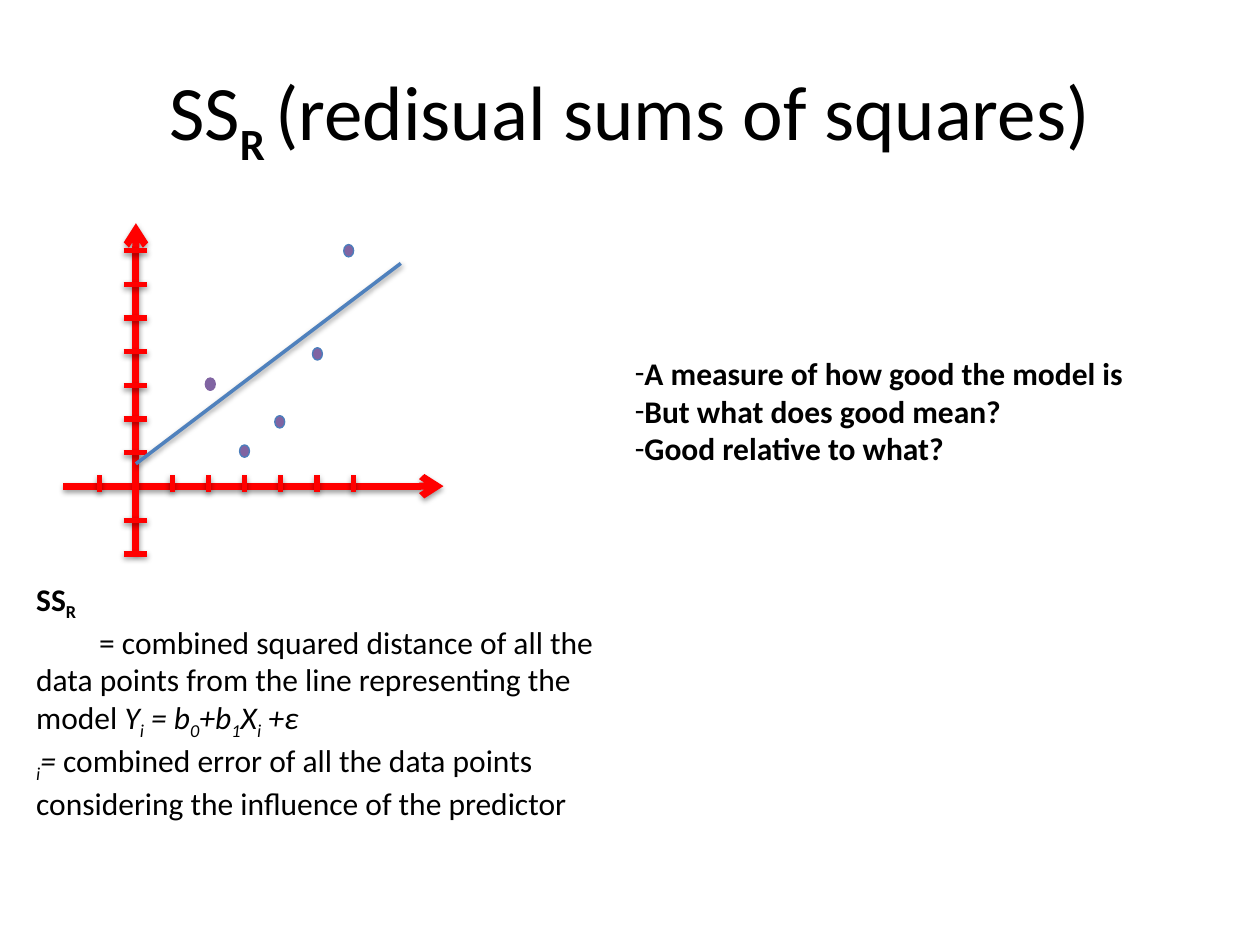
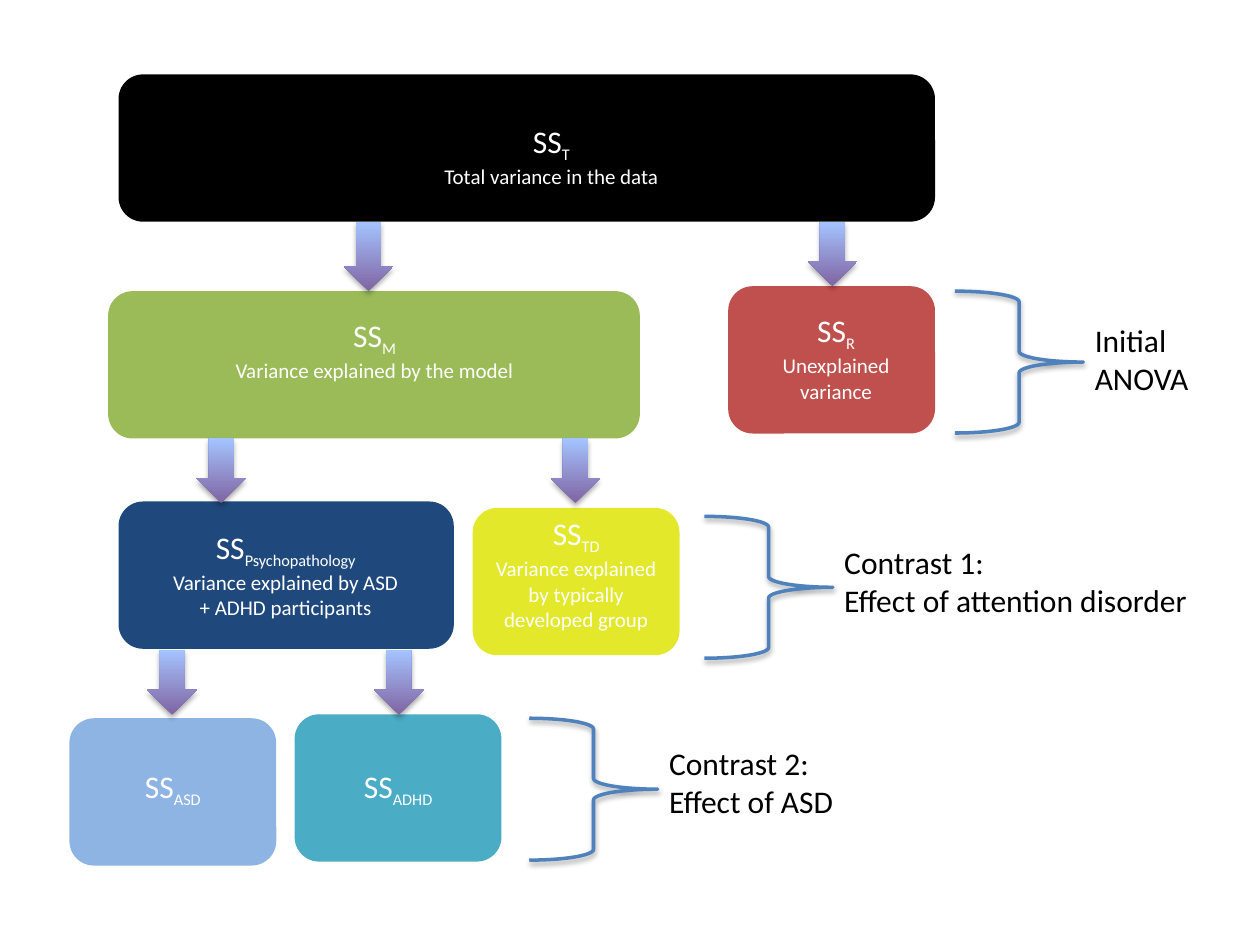
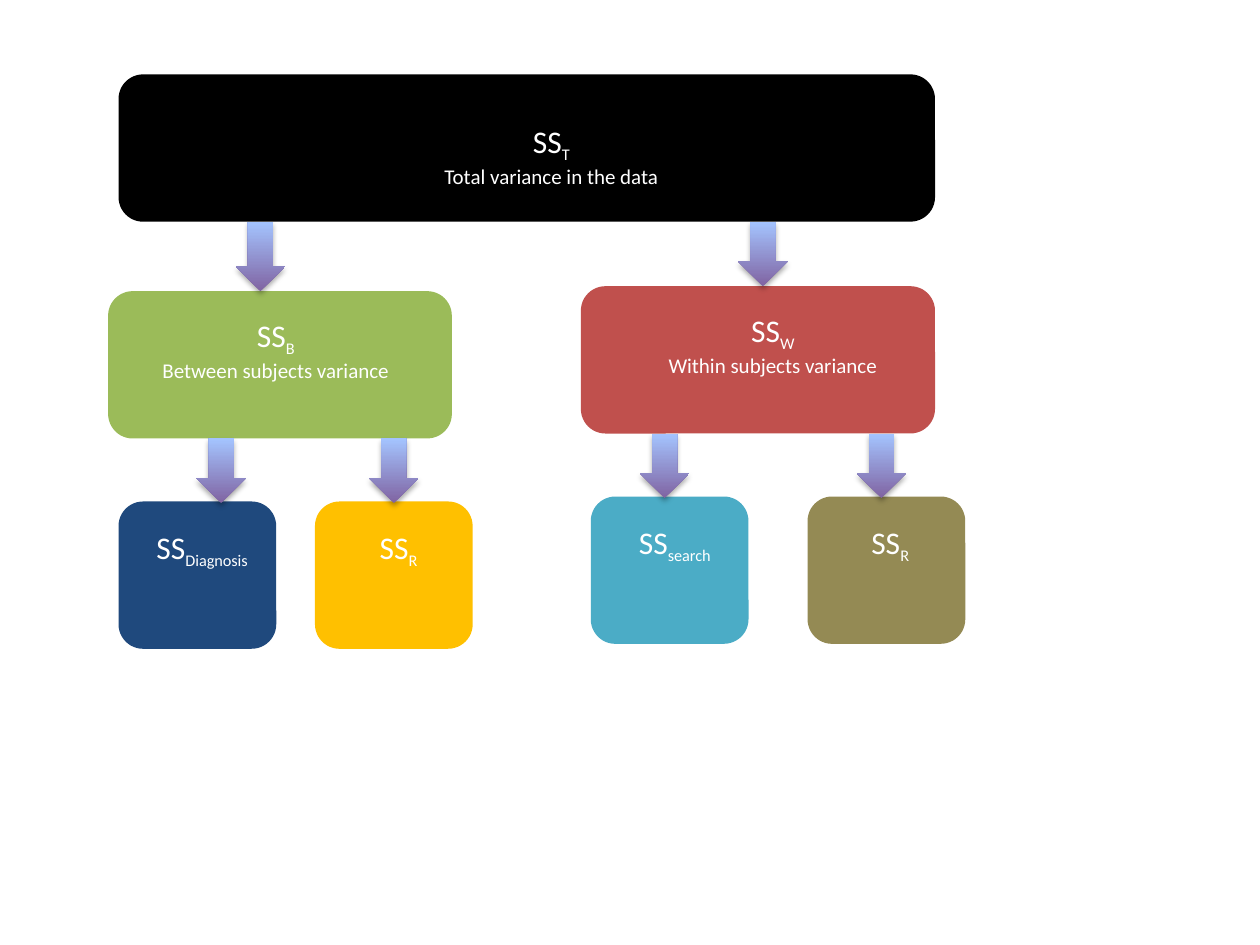
import pptx
import pptx.dml.color
import pptx.enum.shapes
import pptx.enum.text
import pptx.oxml.ns
import pptx.util
from lxml import etree
from pptx.util import Cm, Pt

RGBColor = pptx.dml.color.RGBColor
SHAPE = pptx.enum.shapes.MSO_SHAPE
STRAIGHT = pptx.enum.shapes.MSO_CONNECTOR.STRAIGHT
CENTER = pptx.enum.text.PP_ALIGN.CENTER
qn = pptx.oxml.ns.qn

FONT = "Calibri"
BLACK = RGBColor(0x00, 0x00, 0x00)
WHITE = RGBColor(0xFF, 0xFF, 0xFF)
AXIS_RED = RGBColor(0xFF, 0x00, 0x00)
LINE_BLUE = RGBColor(0x4F, 0x81, 0xBD)
DOT_BLUE = RGBColor(0x4B, 0x7E, 0xBC)
PURPLE = RGBColor(0x80, 0x64, 0xA2)
ARROW_LIGHT = RGBColor(0xA4, 0xC4, 0xFF)
GREEN = RGBColor(0x9B, 0xBB, 0x59)
BRICK = RGBColor(0xC0, 0x50, 0x4D)
NAVY = RGBColor(0x1F, 0x49, 0x7D)
YELLOW = RGBColor(0xE3, 0xE8, 0x2A)
PALE_BLUE = RGBColor(0x8E, 0xB4, 0xE3)
TEAL = RGBColor(0x4B, 0xAC, 0xC6)
AMBER = RGBColor(0xFF, 0xC0, 0x00)
OLIVE = RGBColor(0x94, 0x8A, 0x54)


def add_runs(paragraph, text, size=18, color=BLACK, bold=False, italic=False, subscript_size=None):
    """Add text in which every second piece between bars is a subscript."""
    for index, piece in enumerate(text.split("|")):
        if not piece:
            continue
        run = paragraph.add_run()
        run.text = piece
        run.font.name = FONT
        run.font.size = Pt(size)
        run.font.color.rgb = color
        run.font.bold = bold
        run.font.italic = italic
        if index % 2:
            run.font.size = Pt(subscript_size or size)
            run._r.get_or_add_rPr().set("baseline", "-25000")


def add_text_frame(slide, left, top, width, height):
    text_box = slide.shapes.add_textbox(Cm(left), Cm(top), Cm(width), Cm(height))
    text_box.text_frame.word_wrap = True
    return text_box.text_frame


presentation = pptx.Presentation()
presentation.slide_width = Cm(25.4)
presentation.slide_height = Cm(19.05)
title_only_layout = presentation.slide_layouts[5]
blank_layout = presentation.slide_layouts[6]

# Residual sums of squares
slide = presentation.slides.add_slide(title_only_layout)
title = slide.shapes.title
title.left, title.top, title.width, title.height = Cm(1.27), Cm(0.76), Cm(22.86), Cm(3.18)
paragraph = title.text_frame.paragraphs[0]
paragraph.alignment = CENTER
add_runs(paragraph, "SS", 44)
add_runs(paragraph, "|R ", 44, bold=True)
add_runs(paragraph, "(redisual sums of squares)", 44)

# Each line: start x, start y, end x, end y, colour, weight, arrowhead
plot_lines = [
    (1.27, 9.8, 8.94, 9.8, AXIS_RED, 4, True),
    (2.74, 11.15, 2.74, 4.5, AXIS_RED, 4, True),
]
for step in range(8):
    if step != 1:
        x = 2.01 + 0.73 * step
        plot_lines.append((x, 9.91, x, 9.58, AXIS_RED, 3, False))
for step in range(10):
    if step != 7:
        y = 5.05 + 0.68 * step
        plot_lines.append((2.49, y, 2.97, y, AXIS_RED, 3, False))
plot_lines.append((2.74, 9.35, 8.08, 5.31, LINE_BLUE, 2, False))

for start_x, start_y, end_x, end_y, color, weight, has_arrowhead in plot_lines:
    connector = slide.shapes.add_connector(STRAIGHT, Cm(start_x), Cm(start_y), Cm(end_x), Cm(end_y))
    connector.line.color.rgb = color
    connector.line.width = Pt(weight)
    if has_arrowhead:
        line_element = connector.element.spPr.find(qn("a:ln"))
        etree.SubElement(line_element, qn("a:tailEnd"), type="arrow")

for left, top, outline in [
    (4.14, 7.62, PURPLE),
    (5.54, 8.38, DOT_BLUE),
    (4.83, 8.97, DOT_BLUE),
    (6.3, 7.01, DOT_BLUE),
    (6.93, 4.93, DOT_BLUE),
]:
    dot = slide.shapes.add_shape(SHAPE.OVAL, Cm(left), Cm(top), Cm(0.2), Cm(0.25))
    dot.shadow.inherit = False
    dot.fill.solid()
    dot.fill.fore_color.rgb = PURPLE
    dot.line.color.rgb = outline
    dot.line.width = Pt(0.75)

definition = add_text_frame(slide, 0.48, 11.56, 12.07, 5.64)
add_runs(definition.paragraphs[0], "SS|R", bold=True)
paragraph = definition.add_paragraph()
paragraph._p.get_or_add_pPr().set("indent", str(Cm(1.27)))
add_runs(
    paragraph,
    "= combined squared distance of all the data points from the line representing the model ",
)
add_runs(paragraph, "Y|i| = b|0|+b|1|X|i| +ε", italic=True)
paragraph = definition.add_paragraph()
add_runs(paragraph, "|i|= ", italic=True)
add_runs(paragraph, "combined error of all the data points considering the influence of the predictor")

questions = add_text_frame(slide, 12.55, 7.01, 12.01, 2.57)
for index, text in enumerate([
    "A measure of how good the model is",
    "But what does good mean?",
    "Good relative to what?",
]):
    paragraph = questions.add_paragraph() if index else questions.paragraphs[0]
    properties = paragraph._p.get_or_add_pPr()
    properties.set("marL", "0")
    properties.set("indent", "0")
    etree.SubElement(properties, qn("a:buFont"), typeface=FONT)
    etree.SubElement(properties, qn("a:buChar"), char="-")
    add_runs(paragraph, text, bold=True)

# Variance trees
BOX_HEIGHT = 2.97
ARROW_WIDTH = 1
# Each box: colour, left, top, width, subscript, caption, text left, text top, text width
total_box = (BLACK, 2.39, 1.5, 16.46, "T", "Total variance in the data", 7.14, 2.34, 7.95)

contrast_boxes = [
    total_box,
    (GREEN, 2.18, 5.87, 10.72, "M", "Variance explained by the model", 4.17, 6.25, 6.76),
    (BRICK, 14.68, 5.77, 4.17, "R", "Unexplained variance", 15.47, 6.15, 2.77),
    (NAVY, 2.39, 10.11, 6.76, "Psychopathology",
     "Variance explained by ASD + ADHD participants", 3.18, 10.52, 5.16),
    (YELLOW, 9.53, 10.24, 4.17, "TD",
     "Variance explained by typically developed group", 9.53, 10.24, 4.17),
    (PALE_BLUE, 1.4, 14.48, 4.17, "ASD", "", 1.4, 15.34, 4.17),
    (TEAL, 5.94, 14.4, 4.17, "ADHD", "", 5.94, 15.34, 4.17),
]
# Each arrow: left, top, height
contrast_arrows = [
    (6.93, 4.47, 1.4), (16.28, 4.47, 1.3),
    (3.96, 8.84, 1.3), (11.1, 8.84, 1.3),
    (2.97, 13.11, 1.3), (7.54, 13.11, 1.3),
]
# Each brace: left, top, label top, label width, label lines
contrast_braces = [
    (19.25, 5.87, 6.35, 2.97, ["Initial ANOVA"]),
    (14.2, 10.41, 10.82, 8.03, ["Contrast 1:", "Effect of attention disorder"]),
    (10.67, 14.48, 14.88, 8.03, ["Contrast 2:", "Effect of ASD"]),
]

subject_boxes = [
    total_box,
    (GREEN, 2.18, 5.87, 6.93, "B", "Between subjects variance", 2.18, 6.25, 6.76),
    (BRICK, 11.71, 5.77, 7.14, "W", "Within subjects variance", 12.9, 6.15, 5.36),
    (NAVY, 2.39, 10.11, 3.18, "Diagnosis", "", 2.59, 10.52, 2.97),
    (AMBER, 6.35, 10.11, 3.18, "R", "", 6.55, 10.52, 2.97),
    (TEAL, 11.91, 10.01, 3.18, "search", "", 12.12, 10.41, 2.97),
    (OLIVE, 16.28, 10.01, 3.18, "R", "", 16.46, 10.41, 2.97),
]
subject_arrows = [
    (4.75, 4.47, 1.4), (14.88, 4.47, 1.3),
    (3.96, 8.84, 1.3), (7.44, 8.84, 1.3),
    (12.9, 8.74, 1.3), (17.27, 8.74, 1.3),
]

for boxes, arrows, braces in [
    (contrast_boxes, contrast_arrows, contrast_braces),
    (subject_boxes, subject_arrows, []),
]:
    slide = presentation.slides.add_slide(blank_layout)

    for color, left, top, width, subscript, caption, text_left, text_top, text_width in boxes:
        box = slide.shapes.add_shape(
            SHAPE.ROUNDED_RECTANGLE, Cm(left), Cm(top), Cm(width), Cm(BOX_HEIGHT))
        box.shadow.inherit = False
        box.fill.solid()
        box.fill.fore_color.rgb = color
        box.line.fill.background()
        text_frame = add_text_frame(slide, text_left, text_top, text_width, 1.55 if caption else 1.02)
        paragraph = text_frame.paragraphs[0]
        paragraph.alignment = CENTER
        add_runs(paragraph, f"SS|{subscript}", color=WHITE, subscript_size=16)
        if caption:
            paragraph = text_frame.add_paragraph()
            paragraph.alignment = CENTER
            add_runs(paragraph, caption, 12, WHITE)

    # Arrows and braces keep the soft shadow of the theme
    for left, top, height in arrows:
        arrow = slide.shapes.add_shape(
            SHAPE.DOWN_ARROW, Cm(left), Cm(top), Cm(ARROW_WIDTH), Cm(height))
        arrow.fill.gradient()
        arrow.fill.gradient_angle = 90
        for stop, color in zip(arrow.fill.gradient_stops, [PURPLE, ARROW_LIGHT]):
            stop.color.rgb = color
        arrow.line.fill.background()

    for left, top, label_top, label_width, label_lines in braces:
        brace = slide.shapes.add_shape(SHAPE.RIGHT_BRACE, Cm(left), Cm(top), Cm(2.59), Cm(2.86))
        brace.fill.background()
        brace.line.color.rgb = LINE_BLUE
        brace.line.width = Pt(2)
        label = add_text_frame(slide, left + 2.57, label_top, label_width, 1.8)
        for index, text in enumerate(label_lines):
            paragraph = label.add_paragraph() if index else label.paragraphs[0]
            add_runs(paragraph, text)

presentation.save("out.pptx")
